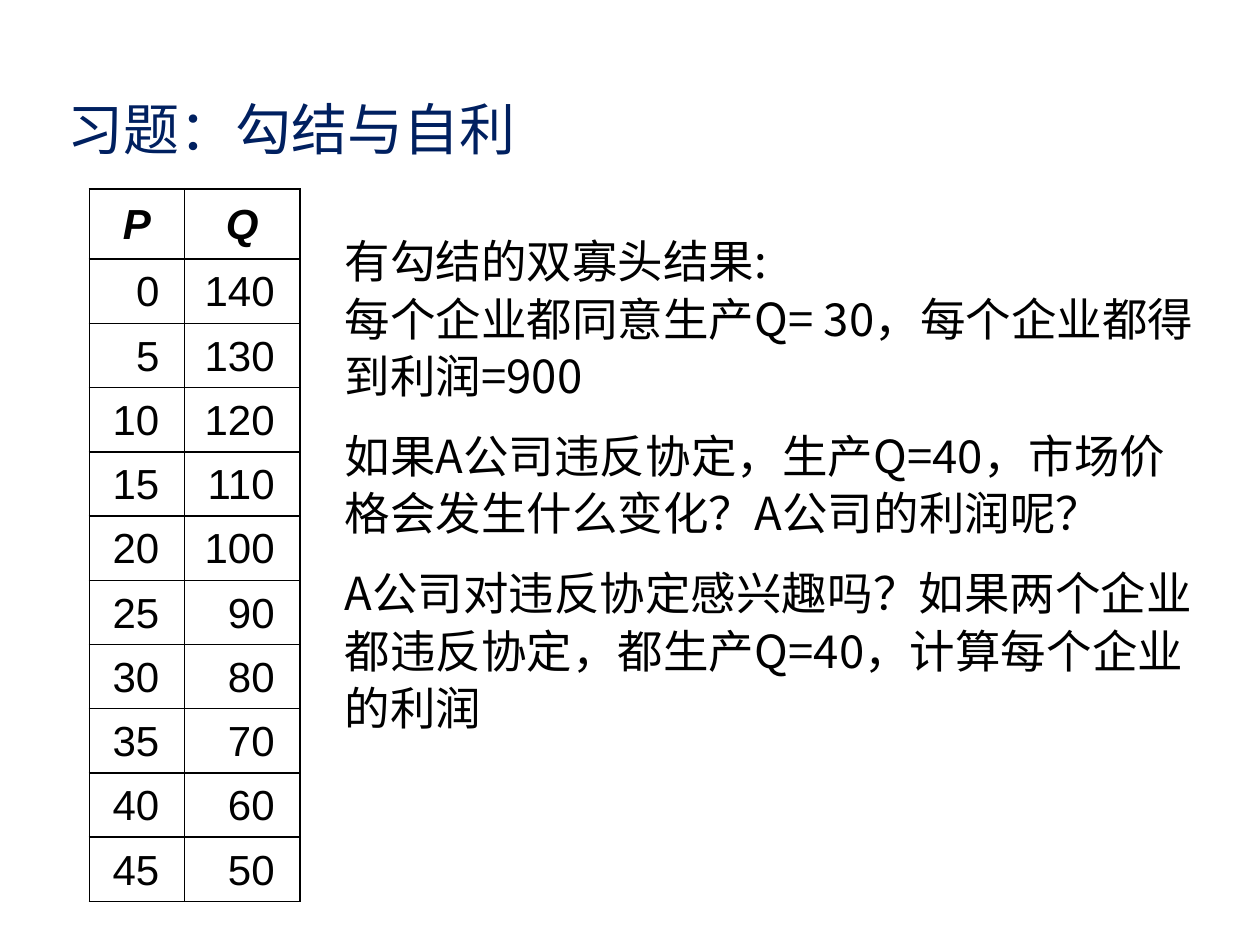
"""Build the exercise slide on collusion and self-interest."""
from dataclasses import dataclass

from lxml import etree
from pptx import Presentation
from pptx.dml.color import RGBColor
from pptx.enum.text import MSO_ANCHOR, MSO_AUTO_SIZE, PP_ALIGN
from pptx.oxml.ns import qn
from pptx.util import Inches, Pt

LEFT, CENTER, RIGHT = PP_ALIGN.LEFT, PP_ALIGN.CENTER, PP_ALIGN.RIGHT
TOP, MIDDLE = MSO_ANCHOR.TOP, MSO_ANCHOR.MIDDLE
NO_FIT = MSO_AUTO_SIZE.NONE
COLORS = {"title": "002060", "ink": "000000", "paper": "FFFFFF"}
GRID_STEP = Inches(10) // 100
CHINESE, LATIN = "Noto Sans CJK SC", "Arial"
LINE_SPACING = 1.05


@dataclass(frozen=True)
class Area:
    """A rectangle in steps of a 100 by 75 grid."""
    column: float
    row: float
    columns: float
    rows: float

    def box(self) -> tuple[int, ...]:
        """Return left, top, width and height in slide units."""
        return tuple(steps(n) for n in (self.column, self.row, self.columns, self.rows))


@dataclass(frozen=True)
class Style:
    """The look of a run of text."""
    size: int
    font: str
    color: str
    strong: bool = False


TITLE = Style(32, CHINESE, "title")
QUESTION = Style(26, CHINESE, "ink")
HEADING = Style(24, LATIN, "ink", True)
VALUE = Style(24, LATIN, "ink")

QUESTIONS = [
    ["有勾结的双寡头结果:", "每个企业都同意生产Q= 30，每个企业都得到利润=900"],
    ["如果A公司违反协定，生产Q=40，市场价格会发生什么变化？A公司的利润呢？"],
    ["A公司对违反协定感兴趣吗？如果两个企业都违反协定，都生产Q=40，计算每个企业的利润"],
]
DEMAND = [(price, 140 - 2 * price) for price in range(0, 50, 5)]


def steps(count: float) -> int:
    """Convert grid steps to slide units."""
    return round(count * GRID_STEP)


def add_run(paragraph, text: str, style: Style) -> None:
    """Add one styled run to a paragraph."""
    run = paragraph.add_run()
    run.text = text
    run.font.size = Pt(style.size)
    run.font.bold = run.font.italic = style.strong
    run.font.color.rgb = RGBColor.from_string(COLORS[style.color])
    run.font.name = style.font
    etree.SubElement(run.font._element, qn("a:ea"), typeface=style.font)


def place(placeholder, area: Area, anchor):
    """Move a placeholder and return its prepared text frame."""
    placeholder.left, placeholder.top, placeholder.width, placeholder.height = area.box()
    frame = placeholder.text_frame
    frame.word_wrap = True
    frame.auto_size = NO_FIT
    frame.vertical_anchor = anchor
    return frame


def write_title(placeholder, area: Area, text: str) -> None:
    """Write the slide title."""
    paragraph = place(placeholder, area, MIDDLE).paragraphs[0]
    paragraph.alignment = LEFT
    add_run(paragraph, text, TITLE)


def write_questions(placeholder, area: Area, questions: list[list[str]]) -> None:
    """Write the questions as paragraphs without bullets."""
    frame = place(placeholder, area, TOP)
    for index, lines in enumerate(questions):
        paragraph = frame.add_paragraph() if index else frame.paragraphs[0]
        paragraph.alignment = LEFT
        paragraph.line_spacing = LINE_SPACING
        paragraph.space_before = Pt(QUESTION.size / 2 if index else 0)
        properties = paragraph._p.get_or_add_pPr()
        properties.set("marL", "0")
        properties.set("indent", "0")
        etree.SubElement(properties, qn("a:buNone"))
        for number, line in enumerate(lines):
            if number:
                paragraph.add_line_break()
            add_run(paragraph, line, QUESTION)


def draw_borders(cell) -> None:
    """Rule all four sides of a table cell."""
    properties = cell._tc.get_or_add_tcPr()
    for index, side in enumerate(("a:lnL", "a:lnR", "a:lnT", "a:lnB")):
        line = etree.Element(qn(side), w=str(Pt(1)))
        fill = etree.SubElement(line, qn("a:solidFill"))
        etree.SubElement(fill, qn("a:srgbClr"), val=COLORS["ink"])
        properties.insert(index, line)


def fill_cell(cell, text: str, is_heading: bool) -> None:
    """Write and format one table cell."""
    cell.fill.solid()
    cell.fill.fore_color.rgb = RGBColor.from_string(COLORS["paper"])
    draw_borders(cell)
    cell.vertical_anchor = MIDDLE
    cell.margin_left, cell.margin_right = (0, 0) if is_heading else (steps(1), steps(2))
    cell.margin_top = cell.margin_bottom = steps(0.5)
    paragraph = cell.text_frame.paragraphs[0]
    paragraph.alignment = CENTER if is_heading else RIGHT
    paragraph.line_spacing = LINE_SPACING
    add_run(paragraph, text, HEADING if is_heading else VALUE)


def draw_demand(slide, area: Area, demand: list[tuple[int, int]]) -> None:
    """Draw the table of prices and quantities."""
    records = [("P", "Q"), *demand]
    table = slide.shapes.add_table(len(records), 2, *area.box()).table
    table.first_row = table.horz_banding = False
    for column, width in zip(table.columns, (7.55, 9.15)):
        column.width = steps(width)
    for index, record in enumerate(records):
        table.rows[index].height = steps(5.1 if index else 5.56)
        for column, entry in enumerate(record):
            fill_cell(table.cell(index, column), str(entry), index == 0)


def main() -> None:
    """Build and save the slide."""
    deck = Presentation()
    deck.slide_width, deck.slide_height = steps(100), steps(75)
    slide = deck.slides.add_slide(deck.slide_layouts[1])
    title, body = slide.placeholders
    write_title(title, Area(4.35, 7.6, 77.9, 5.1), "习题：勾结与自利")
    write_questions(body, Area(26.35, 17.8, 70.75, 53.6), QUESTIONS)
    draw_demand(slide, Area(7.1, 15, 16.7, 56.56), DEMAND)
    deck.save("out.pptx")


if __name__ == "__main__":
    main()
